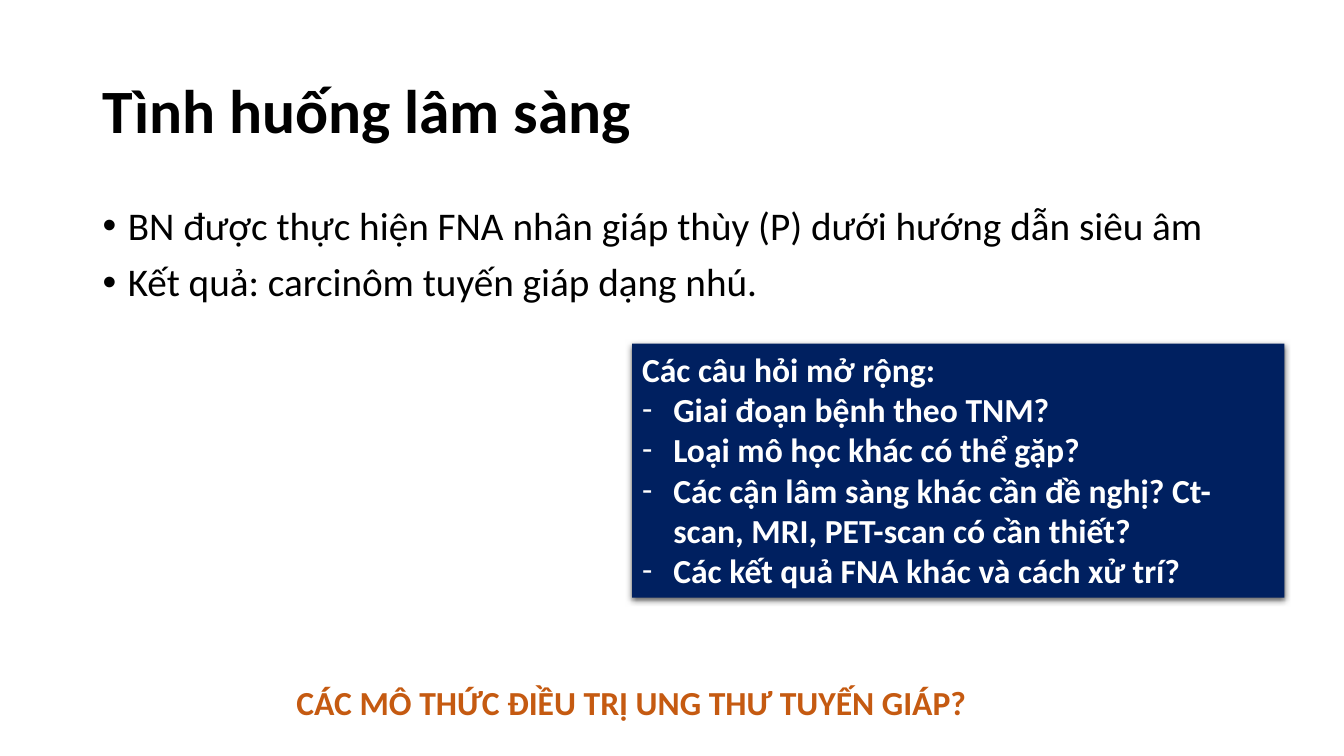
"""Build the clinical case slide on thyroid FNA findings."""
from dataclasses import dataclass

from lxml.etree import SubElement
from pptx import Presentation
from pptx.dml.color import RGBColor
from pptx.enum.shapes import MSO_SHAPE
from pptx.enum.text import MSO_ANCHOR as Anchor, PP_ALIGN as Align
from pptx.oxml.ns import qn
from pptx.shapes.autoshape import Shape
from pptx.slide import Slide
from pptx.util import Inches, Pt

FONT = "Calibri"
BLACK, WHITE, NAVY, ORANGE = "000000", "FFFFFF", "002060", "C55A11"


@dataclass(frozen=True)
class Line:
    text: str
    bullet: str = ""
    bullet_font: str = FONT
    indent: float = 0
    space_before: float = 0


@dataclass(frozen=True)
class Block:
    left: float
    top: float
    width: float
    height: float
    lines: list[Line]
    size: float
    color: str
    bold: bool = True
    fill: str = ""
    anchor: Anchor = Anchor.MIDDLE
    align: Align = Align.LEFT
    line_spacing: float = 1.0
    shadow: bool = False


def rgb(color: str) -> RGBColor:
    return RGBColor.from_string(color)


def add_bullet(paragraph, line: Line) -> None:
    properties = paragraph._p.get_or_add_pPr()
    properties.set("marL", str(Inches(line.indent)))
    properties.set("indent", str(-Inches(line.indent)))
    SubElement(properties, qn("a:buFont"), typeface=line.bullet_font)
    SubElement(properties, qn("a:buChar"), char=line.bullet)


def add_shadow(panel: Shape) -> None:
    effects = panel._element.spPr.find(qn("a:effectLst"))
    shadow = SubElement(effects, qn("a:outerShdw"), blurRad=str(Pt(4.5)),
                        dist=str(Pt(1.5)), dir="5400000", rotWithShape="0")
    tint = SubElement(shadow, qn("a:srgbClr"), val=BLACK)
    SubElement(tint, qn("a:alpha"), val="63000")


def add_block(slide: Slide, block: Block) -> None:
    place = [Inches(n) for n in (block.left, block.top, block.width, block.height)]
    if block.fill:
        panel = slide.shapes.add_shape(MSO_SHAPE.RECTANGLE, *place)
        panel.fill.solid()
        panel.fill.fore_color.rgb = rgb(block.fill)
        panel.line.fill.background()
        panel.shadow.inherit = False
        if block.shadow:
            add_shadow(panel)
    else:
        panel = slide.shapes.add_textbox(*place)
    frame = panel.text_frame
    frame.word_wrap = True
    frame.vertical_anchor = block.anchor
    frame.text = "\n".join(line.text for line in block.lines)
    for line, paragraph in zip(block.lines, frame.paragraphs):
        if line.bullet:
            add_bullet(paragraph, line)
        paragraph.alignment = block.align
        paragraph.line_spacing = block.line_spacing
        paragraph.space_before = Pt(line.space_before)
        for run in paragraph.runs:
            run.font.name = FONT
            run.font.size = Pt(block.size)
            run.font.bold = block.bold
            run.font.color.rgb = rgb(block.color)


QUESTIONS = [
    "Giai đoạn bệnh theo TNM?",
    "Loại mô học khác có thể gặp?",
    "Các cận lâm sàng khác cần đề nghị? Ct-scan, MRI, PET-scan có cần thiết?",
    "Các kết quả FNA khác và cách xử trí?",
]

BLOCKS = [
    Block(0.92, 0.4, 11.5, 1.45, [Line("Tình huống lâm sàng")], 44, BLACK,
          line_spacing=0.9),
    Block(0.92, 2, 11.5, 4.76, [
        Line("BN được thực hiện FNA nhân giáp thùy (P) dưới hướng dẫn siêu âm",
             "•", "Arial", 0.25),
        Line("Kết quả: carcinôm tuyến giáp dạng nhú.", "•", "Arial", 0.25, 10),
    ], 28, BLACK, bold=False, anchor=Anchor.TOP, line_spacing=0.9),
    Block(0.6, 6.72, 11.4, 0.5,
          [Line("CÁC MÔ THỨC ĐIỀU TRỊ UNG THƯ TUYẾN GIÁP? ")], 24, ORANGE,
          fill=WHITE, anchor=Anchor.TOP, align=Align.CENTER),
    Block(6.27, 3.41, 6.47, 2.52,
          [Line("Các câu hỏi mở rộng:")]
          + [Line(question, "-", indent=0.31) for question in QUESTIONS],
          24, WHITE, fill=NAVY, anchor=Anchor.TOP, shadow=True),
]


def main() -> None:
    deck = Presentation()
    deck.slide_width, deck.slide_height = Inches(13.33), Inches(7.5)
    slide = deck.slides.add_slide(deck.slide_layouts[6])
    for block in BLOCKS:
        add_block(slide, block)
    deck.save("out.pptx")


if __name__ == "__main__":
    main()
